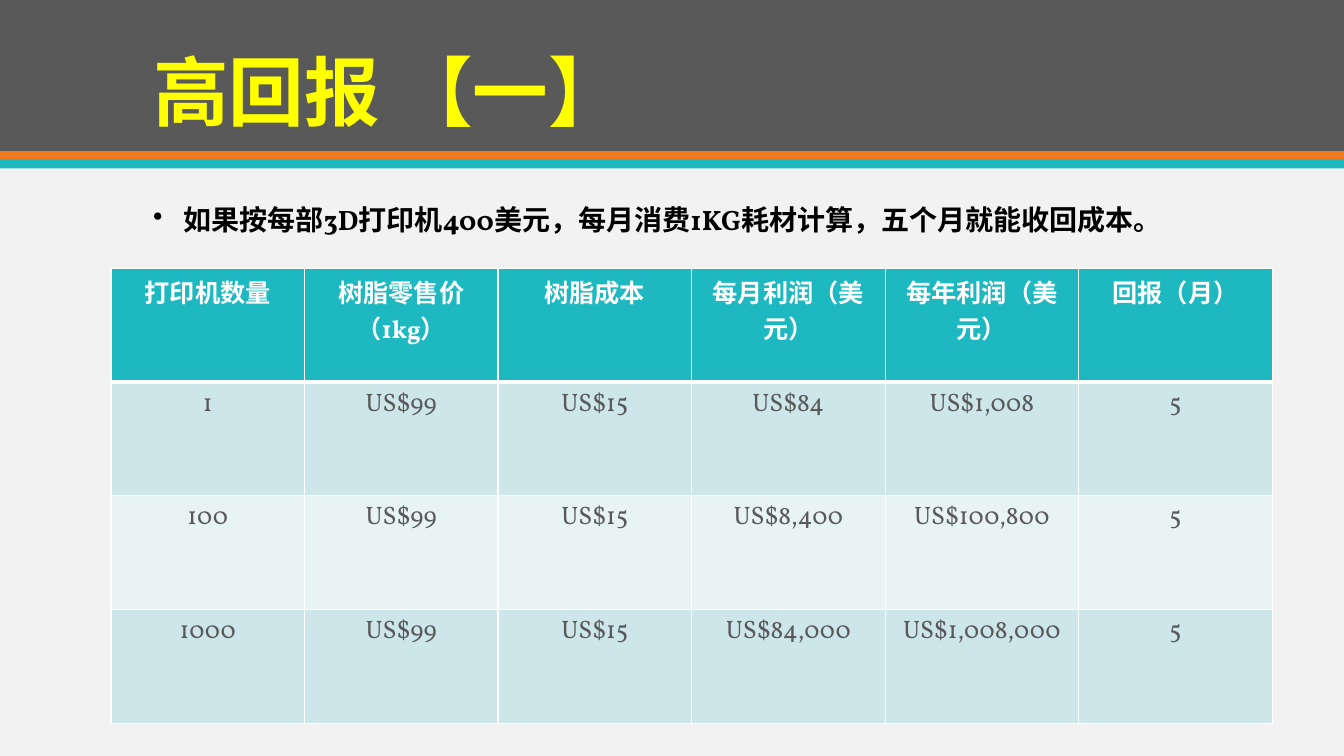
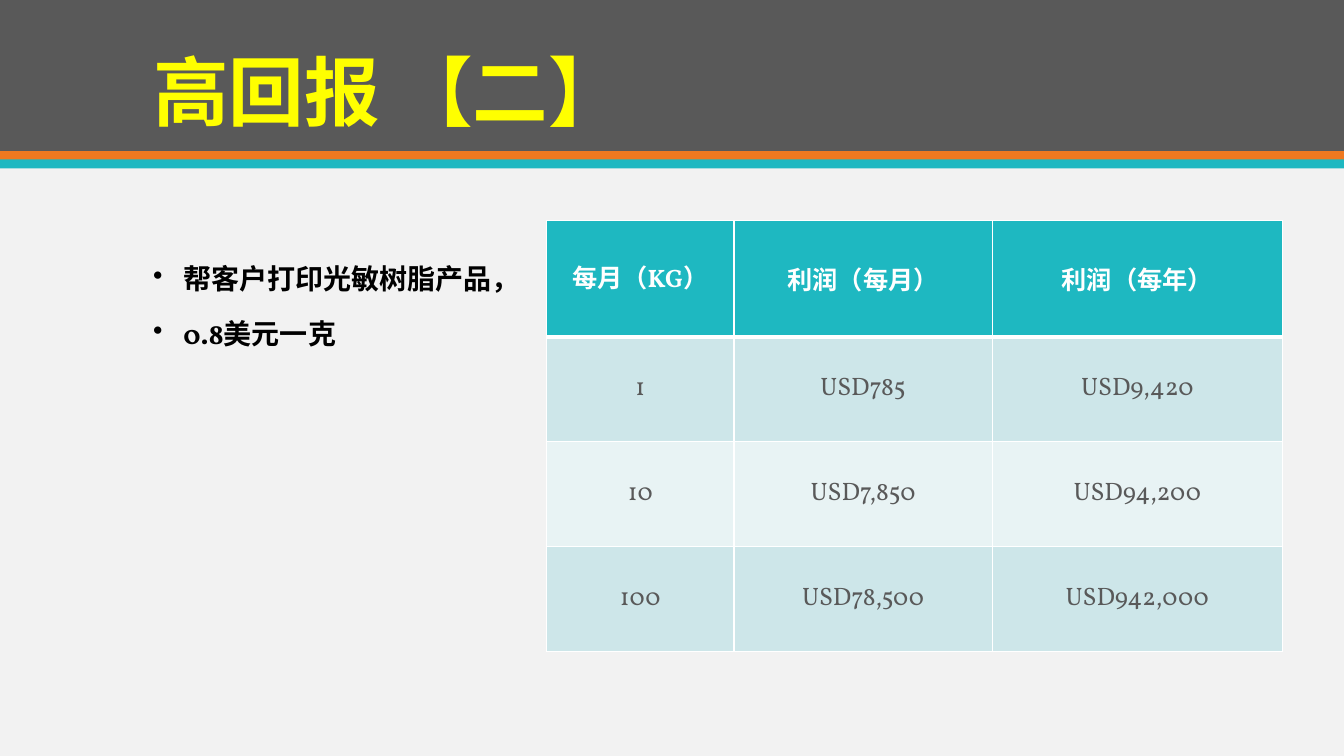
from dataclasses import dataclass

from pptx import Presentation
from pptx.dml.color import RGBColor
from pptx.enum.shapes import MSO_SHAPE
from pptx.enum.text import MSO_ANCHOR, PP_ALIGN
from pptx.oxml.ns import qn
from pptx.util import Pt
from lxml import etree

RECTANGLE = MSO_SHAPE.RECTANGLE
TOP, MIDDLE, BOTTOM = MSO_ANCHOR.TOP, MSO_ANCHOR.MIDDLE, MSO_ANCHOR.BOTTOM
LEFT, CENTER = PP_ALIGN.LEFT, PP_ALIGN.CENTER
EMU_PER_PX = 9144
SLIDE_WIDTH, SLIDE_HEIGHT = 1333, 750
CONTENT_LEFT, CONTENT_WIDTH = 142, 1050
BULLET_INDENT = 30


@dataclass(frozen=True)
class Theme:
    font: str = "Vollkorn"
    background: str = "F2F2F2"
    band: str = "595959"
    orange: str = "EF7920"
    teal: str = "1EB8C1"
    title: str = "FFFF00"
    body: str = "000000"
    cell_text: str = "595959"
    white: str = "FFFFFF"
    stripes: tuple = ("CDE6E9", "E8F3F4")
    title_size: int = 54
    body_size: int = 20
    table_size: int = 18
    border: int = 1
    header_border: int = 3


def px(length):
    return length * EMU_PER_PX


def write_text(paragraph, text, *, font, size, color, bold=False,
               align=LEFT, line_spacing=None, space_before=None, bullet=None):
    paragraph.alignment = align
    if line_spacing is not None:
        paragraph.line_spacing = line_spacing
    if space_before is not None:
        paragraph.space_before = Pt(space_before)
    if bullet:
        properties = paragraph._p.get_or_add_pPr()
        properties.set("marL", str(px(BULLET_INDENT)))
        properties.set("indent", str(-px(BULLET_INDENT)))
        etree.SubElement(properties, qn("a:buChar")).set("char", bullet)
    run = paragraph.add_run()
    run.text = text
    run.font.name = font
    run.font.size = Pt(size)
    run.font.bold = bold
    run.font.color.rgb = RGBColor.from_string(color)


def add_border(cell, side, color, width):
    line = etree.SubElement(cell._tc.get_or_add_tcPr(), qn(f"a:ln{side}"))
    line.set("w", str(Pt(width)))
    fill = etree.SubElement(line, qn("a:solidFill"))
    etree.SubElement(fill, qn("a:srgbClr")).set("val", color)


class Deck:
    def __init__(self, theme):
        self.theme = theme
        self.presentation = Presentation()
        self.presentation.slide_width = px(SLIDE_WIDTH)
        self.presentation.slide_height = px(SLIDE_HEIGHT)
        self.slide = None

    def add_slide(self, title):
        theme = self.theme
        blank_layout = self.presentation.slide_layouts[6]
        self.slide = self.presentation.slides.add_slide(blank_layout)
        background = self.slide.background.fill
        background.solid()
        background.fore_color.rgb = RGBColor.from_string(theme.background)
        self.add_band(0, 150, theme.band)
        self.add_band(150, 9, theme.orange)
        self.add_band(158, 9, theme.teal)
        self.add_text(28, CONTENT_WIDTH, 113, [title], anchor=BOTTOM,
                      size=theme.title_size, color=theme.title)

    def add_band(self, top, height, color):
        shape = self.slide.shapes.add_shape(
            RECTANGLE, 0, px(top), px(SLIDE_WIDTH), px(height))
        shape.shadow.inherit = False
        shape.fill.solid()
        shape.fill.fore_color.rgb = RGBColor.from_string(color)
        shape.line.fill.background()

    def add_text(self, top, width, height, lines, *, anchor=TOP, **text_format):
        shape = self.slide.shapes.add_textbox(
            px(CONTENT_LEFT), px(top), px(width), px(height))
        frame = shape.text_frame
        frame.word_wrap = True
        frame.vertical_anchor = anchor
        for index, line in enumerate(lines):
            paragraph = frame.add_paragraph() if index else frame.paragraphs[0]
            write_text(paragraph, line, font=self.theme.font, bold=True,
                       line_spacing=0.9, **text_format)

    def add_bullets(self, top, width, height, lines):
        self.add_text(top, width, height, lines, size=self.theme.body_size,
                      color=self.theme.body, space_before=18, bullet="•")

    def add_table(self, left, top, column_widths, row_heights, rows, *, anchor):
        table = self.slide.shapes.add_table(
            len(rows), len(column_widths), px(left), px(top),
            px(sum(column_widths)), px(sum(row_heights))).table
        table.horz_banding = False
        for column, width in zip(table.columns, column_widths):
            column.width = px(width)
        for row_index, (height, values) in enumerate(zip(row_heights, rows)):
            table.rows[row_index].height = px(height)
            for column_index, value in enumerate(values):
                cell = table.cell(row_index, column_index)
                cell.vertical_anchor = anchor
                self.style_cell(cell, value, row_index)

    def style_cell(self, cell, value, row_index):
        theme = self.theme
        is_header = row_index == 0
        thick_side = {0: "B", 1: "T"}.get(row_index)
        for side in "LRTB":
            width = theme.header_border if side == thick_side else theme.border
            add_border(cell, side, theme.white, width)
        stripe = theme.stripes[(row_index - 1) % len(theme.stripes)]
        cell.fill.solid()
        cell.fill.fore_color.rgb = RGBColor.from_string(
            theme.teal if is_header else stripe)
        write_text(cell.text_frame.paragraphs[0], value, font=theme.font,
                   size=theme.table_size, bold=is_header, align=CENTER,
                   color=theme.white if is_header else theme.cell_text)


def main():
    deck = Deck(Theme())

    deck.add_slide("高回报 【一】")
    deck.add_bullets(200, CONTENT_WIDTH, 60, [
        "如果按每部3D打印机400美元，每月消费1KG耗材计算，五个月就能收回成本。"])
    deck.add_table(110, 266, [192] * 6, [113] * 4, [
        ["打印机数量", "树脂零售价（1kg）", "树脂成本",
         "每月利润（美元）", "每年利润（美元）", "回报（月）"],
        ["1", "US$99", "US$15", "US$84", "US$1,008", "5"],
        ["100", "US$99", "US$15", "US$8,400", "US$100,800", "5"],
        ["1000", "US$99", "US$15", "US$84,000", "US$1,008,000", "5"],
    ], anchor=TOP)

    deck.add_slide("高回报 【二】")
    deck.add_bullets(258, 400, 120, ["帮客户打印光敏树脂产品，", "0.8美元一克"])
    deck.add_table(542, 219, [186, 256, 288], [115] + [104] * 3, [
        ["每月（KG）", "利润（每月）", "利润（每年）"],
        ["1", "USD785", "USD9,420"],
        ["10", "USD7,850", "USD94,200"],
        ["100", "USD78,500", "USD942,000"],
    ], anchor=MIDDLE)

    deck.presentation.save("out.pptx")


if __name__ == "__main__":
    main()
